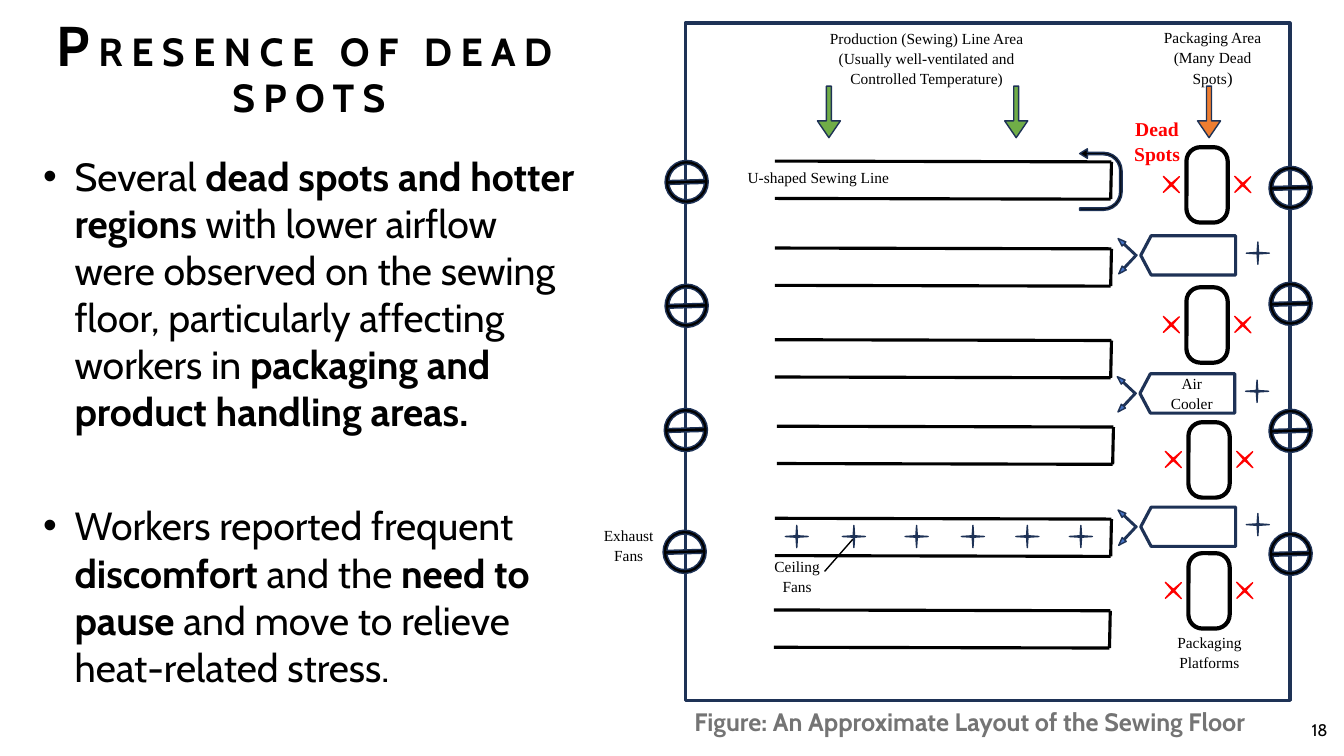
from dataclasses import dataclass

from lxml.etree import SubElement
from pptx import Presentation
from pptx.dml.color import RGBColor
from pptx.enum.shapes import MSO_CONNECTOR, MSO_SHAPE
from pptx.enum.text import PP_ALIGN
from pptx.oxml.ns import qn
from pptx.util import Cm, Pt


@dataclass(frozen=True)
class Theme:
    """Colours, fonts and type sizes of the slide."""
    black: str = "000000"
    white: str = "FFFFFF"
    navy: str = "1E3256"
    blue: str = "4472C4"
    red: str = "FF0000"
    green: str = "70AD47"
    orange: str = "ED7D31"
    grey: str = "747474"
    heading_font: str = "Cabin"
    label_font: str = "Times New Roman"
    initial: int = 40
    body: int = 28
    caption: int = 18
    warning: int = 14
    small: int = 12
    label: int = 11


class FloorPlanSlide:
    """Draws elements on one slide in one style; lengths are centimetres."""

    def __init__(self, slide, theme):
        self.shapes = slide.shapes
        self.theme = theme

    def shape(self, kind, x, y, width, height, fill=None, line=None, weight=1.0,
              adjustments=(), rotation=0, mirrored=False):
        item = self.shapes.add_shape(kind, Cm(x), Cm(y), Cm(width), Cm(height))
        item.shadow.inherit = False
        for index, value in enumerate(adjustments):
            item.adjustments[index] = value
        if fill:
            item.fill.solid()
            item.fill.fore_color.rgb = RGBColor.from_string(fill)
        else:
            item.fill.background()
        item.line.color.rgb = RGBColor.from_string(line or self.theme.navy)
        item.line.width = Pt(weight)
        item.rotation = rotation
        if mirrored:
            item.element.spPr.get_or_add_xfrm().set("flipH", "1")

    def line(self, start, end, weight=2.25):
        item = self.shapes.add_connector(
            MSO_CONNECTOR.STRAIGHT, *[Cm(value) for value in (*start, *end)])
        item.line.color.rgb = RGBColor.from_string(self.theme.black)
        item.line.width = Pt(weight)
        SubElement(item.element.spPr, qn("a:effectLst"))

    def text(self, x, y, width, height, paragraphs, font, size, color=None, bold=False,
             align=PP_ALIGN.CENTER, spacing=None, gap=0, tracking=0, bullet=None, wrap=True):
        frame = self.shapes.add_textbox(Cm(x), Cm(y), Cm(width), Cm(height)).text_frame
        frame.word_wrap = wrap
        for index, runs in enumerate(paragraphs):
            paragraph = frame.add_paragraph() if index else frame.paragraphs[0]
            paragraph.alignment = align
            if spacing:
                paragraph.line_spacing = spacing
            if index:
                paragraph.space_before = Pt(gap)
            if bullet:
                properties = paragraph._p.get_or_add_pPr()
                properties.set("marL", str(Cm(0.79)))
                properties.set("indent", str(-Cm(0.79)))
                SubElement(properties, qn("a:buFont")).set("typeface", "Arial")
                SubElement(properties, qn("a:buChar")).set("char", bullet)
            paragraph.font.name = font
            paragraph.font.color.rgb = RGBColor.from_string(color or self.theme.black)
            sizes = {run_size or size for _, run_size, _ in runs}
            weights = {bold or run_bold for _, _, run_bold in runs}
            if len(sizes) == 1:
                paragraph.font.size = Pt(size)
            if len(weights) == 1:
                paragraph.font.bold = bold
            for words, run_size, run_bold in runs:
                run = paragraph.add_run()
                run.text = words
                if len(sizes) > 1:
                    run.font.size = Pt(run_size or size)
                if len(weights) > 1:
                    run.font.bold = run_bold
                if tracking:
                    run.font._element.set("spc", str(tracking * 100))

    def label(self, x, y, width, height, words, ending="", align=PP_ALIGN.CENTER):
        runs = [(words, None, False)]
        if ending:
            runs.append((ending, self.theme.small, False))
        self.text(x, y, width, height, [runs], self.theme.label_font, self.theme.label,
                  align=align, spacing=1.07)

    def sewing_line(self, x, y, length=8.48):
        right = x + length
        self.line((x, y), (right, y + 0.02))
        self.line((right - 0.02, y + 0.96), (right, y + 0.02))
        self.line((x, y + 0.94), (right - 0.02, y + 0.96))

    def exhaust_fan(self, x, y):
        self.shape(MSO_SHAPE.NO_SYMBOL, x, y, 1.09, 1.09, self.theme.black,
                   adjustments=(0.089,), rotation=313.4)

    def star(self, x, y, line=None, rotation=0):
        self.shape(MSO_SHAPE.QUAD_ARROW, x, y, 0.58, 0.56, self.theme.blue, line,
                   adjustments=(0, 0.031, 0.469), rotation=rotation)

    def platform(self, x, y):
        self.shape(MSO_SHAPE.ROUNDED_RECTANGLE, x, y, 1.04, 1.9, self.theme.white,
                   self.theme.black, 3, (0.34,))
        for offset in (-0.67, 1.13):
            self.star(x + offset, y + 0.66, self.theme.red, 45.5)

    def air_cooler(self, x, y):
        self.shape(MSO_SHAPE.PENTAGON, x, y, 2.39, 0.99, weight=2.25,
                   adjustments=(0.264,), mirrored=True)
        self.shape(MSO_SHAPE.LEFT_UP_ARROW, x - 0.87, y + 0.17, 0.71, 0.69,
                   self.theme.blue, adjustments=(0.056, 0.102, 0.292), rotation=313.1)
        self.star(x + 2.66, y + 0.16)

    def area_arrow(self, x, fill):
        self.shape(MSO_SHAPE.DOWN_ARROW, x, 2.17, 0.58, 1.3, fill,
                   adjustments=(0.217, 0.731))


def main():
    """Build the sewing floor slide and save it."""
    deck = Presentation()
    deck.slide_width, deck.slide_height = Cm(33.87), Cm(19.05)
    theme = Theme()
    plan = FloorPlanSlide(deck.slides.add_slide(deck.slide_layouts[6]), theme)

    plan.text(0, 0.33, 15.57, 2.87,
              [[("P", theme.initial, True), ("RESENCE OF DEAD SPOTS", None, True)]],
              theme.heading_font, theme.body, bold=True, spacing=0.9, tracking=6)
    findings = [
        [("Several ", None, False),
         ("dead spots and hotter regions ", None, True),
         ("with lower airflow were observed on the sewing floor, "
          "particularly affecting workers in ", None, False),
         ("packaging and product handling areas.", None, True)],
        [("Workers reported frequent ", None, False),
         ("discomfort", None, True),
         (" and the ", None, False),
         ("need to pause ", None, True),
         ("and move to relieve heat-related stress.", None, False)],
    ]
    plan.text(0.84, 3.71, 14.15, 15.14, findings, theme.heading_font, theme.body,
              align=PP_ALIGN.LEFT, gap=48, bullet="•")

    plan.shape(MSO_SHAPE.RECTANGLE, 17.27, 0.58, 15.24, 17.07, weight=2.25)
    for x, y in ((19.53, 4.06), (19.53, 6.25), (19.53, 8.56),
                 (19.58, 10.74), (19.53, 13.06), (19.5, 15.37)):
        plan.sewing_line(x, y)
    plan.shape(MSO_SHAPE.U_TURN_ARROW, 26.97, 3.99, 1.55, 1.07, theme.black,
               adjustments=(0.058, 0.111, 0.181, 0.438, 1), rotation=90, mirrored=True)
    for x, y in ((16.76, 4.04), (16.76, 7.16), (16.74, 10.29), (16.71, 13.36),
                 (31.98, 4.19), (31.98, 7.11), (31.98, 10.31), (31.98, 13.41)):
        plan.exhaust_fan(x, y)
    for x, y in ((29.9, 3.71), (29.9, 7.24), (29.95, 10.64), (29.95, 13.94)):
        plan.platform(x, y)
    for x, y in ((28.75, 5.94), (28.73, 9.42), (28.75, 12.78)):
        plan.air_cooler(x, y)
    for x in (19.79, 21.23, 22.81, 24.23, 25.6, 26.95):
        plan.star(x, 13.24)
    plan.line((20.78, 14.4), (21.49, 13.59), 1)
    for x, fill in ((20.6, theme.green), (25.32, theme.green), (30.18, theme.orange)):
        plan.area_arrow(x, fill)

    plan.label(20.55, 0.58, 5.61, 1.73, "Production (Sewing) Line Area "
               "(Usually well-ventilated and Controlled Temperature)")
    plan.label(29.06, 0.56, 3, 1.8, "Packaging Area (Many Dead Spots", ending=")")
    plan.label(18.59, 4.09, 5.36, 1.02, "U-shaped Sewing Line", align=PP_ALIGN.JUSTIFY)
    plan.label(29.21, 9.27, 1.65, 1.4, "Air Cooler")
    plan.label(14.88, 13.11, 1.93, 1.22, "Exhaust Fans")
    plan.label(18.97, 13.89, 2.24, 1.22, "Ceiling Fans")
    plan.label(29.36, 15.8, 2.24, 1.22, "Packaging Platforms")
    plan.text(28.27, 2.77, 1.78, 1.47, [[("Dead Spots", None, True)]], theme.label_font,
              theme.warning, theme.red, bold=True, spacing=1.07)
    plan.text(17.25, 17.68, 15.01, 1.02,
              [[("Figure: An Approximate Layout of the Sewing Floor", None, True)]],
              theme.heading_font, theme.caption, theme.grey, bold=True,
              align=PP_ALIGN.LEFT, wrap=False)
    plan.text(26.09, 18.01, 7.62, 1.02, [[("18", None, False)]], theme.heading_font,
              theme.small, align=PP_ALIGN.RIGHT)
    deck.save("out.pptx")


if __name__ == "__main__":
    main()
